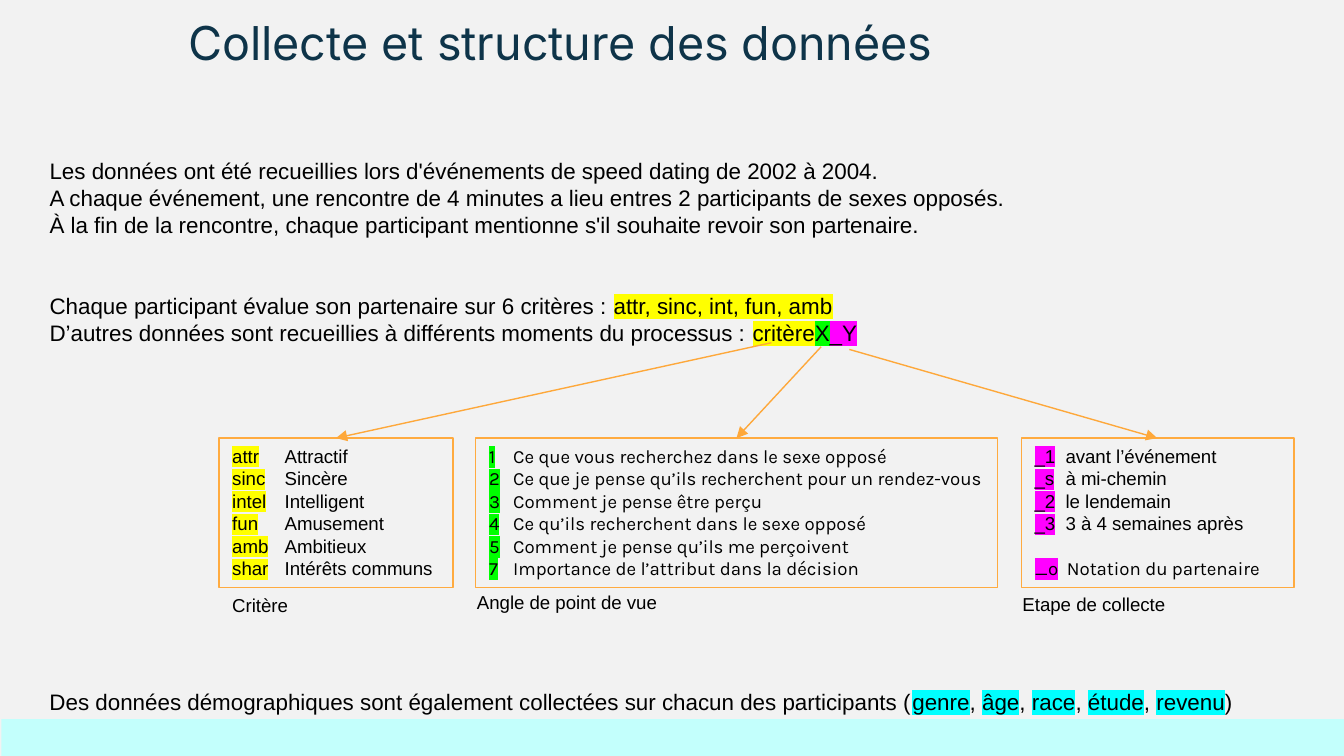
from lxml.etree import SubElement
from pptx import Presentation
from pptx.dml.color import RGBColor
from pptx.enum.shapes import MSO_CONNECTOR, MSO_SHAPE
from pptx.enum.text import MSO_ANCHOR, PP_ALIGN
from pptx.oxml.ns import qn
from pptx.util import Inches, Pt

BACKGROUND = RGBColor(0xF2, 0xF2, 0xF2)
NAVY = RGBColor(0x0E, 0x34, 0x49)
BLACK = RGBColor(0, 0, 0)
FOOTER = RGBColor(0xC3, 0xFF, 0xFC)
BORDER = RGBColor(0xFF, 0xAB, 0x40)
ARROW = RGBColor(0xFE, 0xA8, 0x3A)
YELLOW = RGBColor(0xFF, 0xFF, 0)
GREEN = RGBColor(0, 0xFF, 0)
MAGENTA = RGBColor(0xFF, 0, 0xFF)
CYAN = RGBColor(0, 0xFF, 0xFF)

SLIDE_W = 10
SLIDE_H = SLIDE_W * 9 / 16
BODY, SMALL = 12, 10
MARGIN = 0.27
BOX_TOP, BOX_H = 3.26, 1.11

CRITERIA = [("attr", "Attractif"), ("sinc", "Sincère"), ("intel", "Intelligent"),
            ("fun", "Amusement"), ("amb", "Ambitieux"), ("shar", "Intérêts communs")]
VIEWPOINTS = [("1", "Ce que vous recherchez dans le sexe opposé"),
              ("2", "Ce que je pense qu’ils recherchent pour un rendez-vous"),
              ("3", "Comment je pense être perçu"),
              ("4", "Ce qu’ils recherchent dans le sexe opposé"),
              ("5", "Comment je pense qu’ils me perçoivent"),
              ("7", "Importance de l’attribut dans la décision")]
STAGES = [("_1", "avant l’événement"), ("_s", "à mi-chemin"),
          ("_2", "le lendemain"), ("_3", "3 à 4 semaines après")]
PARTNER = [("_o", "Notation du partenaire")]
DEMOGRAPHICS = ["genre", "âge", "race", "étude", "revenu"]


def inches(*values):
    return [Inches(v) for v in values]


def add_run(p, text, size, font="Arial", color=BLACK, highlight=None):
    r = p.add_run()
    r.text = text
    r.font.size = Pt(size)
    r.font.color.rgb = color
    if highlight is not None:
        # The highlight has to stand between the fill and the font
        mark = SubElement(r.font._element, qn("a:highlight"))
        SubElement(mark, qn("a:srgbClr"), val=str(highlight))
    r.font.name = font


def add_paragraph(tf, runs, size, font="Arial", before=0, tab=None):
    """Add a paragraph from (text, highlight) pairs."""
    p = tf.paragraphs[0]
    if p.runs:
        p = tf.add_paragraph()
    p.alignment = PP_ALIGN.LEFT
    p.space_before = Pt(before)
    if tab:
        tabs = SubElement(p._p.get_or_add_pPr(), qn("a:tabLst"))
        SubElement(tabs, qn("a:tab"), pos=str(Inches(tab)), algn="l")
    for text, highlight in runs:
        add_run(p, text, size, font, highlight=highlight)


def add_text_box(s, left, top, width, height):
    tf = s.shapes.add_textbox(*inches(left, top, width, height)).text_frame
    tf.word_wrap = True
    return tf


def add_rectangle(s, left, top, width, height, fill=None):
    sp = s.shapes.add_shape(MSO_SHAPE.RECTANGLE, *inches(left, top, width, height))
    sp.shadow.inherit = False
    if fill is None:
        sp.fill.background()
        sp.line.color.rgb = BORDER
        sp.line.width = Pt(0.75)
    else:
        sp.fill.solid()
        sp.fill.fore_color.rgb = fill
        sp.line.fill.background()
    return sp


def add_legend_box(s, left, width):
    tf = add_rectangle(s, left, BOX_TOP, width, BOX_H).text_frame
    tf.word_wrap = True
    tf.vertical_anchor = MSO_ANCHOR.TOP
    return tf


def add_legend(tf, rows, highlight, tab, font="Arial", before=0):
    for code, meaning in rows:
        add_paragraph(tf, [(code, highlight), ("\t" + meaning, None)],
                      SMALL, font, before, tab)


def add_caption(s, left, top, width, text):
    add_paragraph(add_text_box(s, left, top, width, 0.27), [(text, None)], SMALL)


def add_arrow(s, start, end):
    c = s.shapes.add_connector(MSO_CONNECTOR.STRAIGHT, *inches(*start, *end))
    c.line.color.rgb = ARROW
    c.line.width = Pt(0.75)
    SubElement(c.line._get_or_add_ln(), qn("a:tailEnd"), type="triangle")
    SubElement(c._element.spPr, qn("a:effectLst"))


def set_title(s, text):
    title = s.shapes.title
    title.left, title.top, title.width, title.height = inches(1.3, 0, 8.44, 0.58)
    tf = title.text_frame
    tf.vertical_anchor = MSO_ANCHOR.TOP
    tf.margin_left = tf.margin_right = tf.margin_top = tf.margin_bottom = Inches(0.1)
    p = tf.paragraphs[0]
    p.alignment = PP_ALIGN.LEFT
    add_run(p, text, 25, "Inter", NAVY)


def main():
    prs = Presentation()
    prs.slide_width, prs.slide_height = inches(SLIDE_W, SLIDE_H)
    s = prs.slides.add_slide(prs.slide_layouts[5])
    s.background.fill.solid()
    s.background.fill.fore_color.rgb = BACKGROUND

    set_title(s, "Collecte et structure des données")
    add_rectangle(s, 0.01, 5.35, SLIDE_W, SLIDE_H - 5.35, FOOTER)

    # Introduction
    tf = add_text_box(s, MARGIN, 1.12, 9.32, 1.51)
    for sentence in (
            "Les données ont été recueillies lors d'événements de speed dating de 2002 à 2004.",
            "A chaque événement, une rencontre de 4 minutes a lieu entres 2 participants de sexes opposés.",
            "À la fin de la rencontre, chaque participant mentionne s'il souhaite revoir son partenaire."):
        add_paragraph(tf, [(sentence, None)], BODY)
    add_paragraph(tf, [("Chaque participant évalue son partenaire sur 6 critères : ", None),
                       ("attr, sinc, int, fun, amb", YELLOW)], BODY, before=29)
    add_paragraph(tf, [("D’autres données sont recueillies à différents moments du processus : ", None),
                       ("critère", YELLOW), ("X", GREEN), ("_Y", MAGENTA)], BODY)

    # Legends of the three parts of a variable name
    add_legend(add_legend_box(s, 3.54, 3.88), VIEWPOINTS, GREEN, 0.18, "Karla")
    add_legend(add_legend_box(s, 1.63, 1.74), CRITERIA, YELLOW, 0.39)
    tf = add_legend_box(s, 7.6, 2.03)
    add_legend(tf, STAGES, MAGENTA, 0.23)
    add_legend(tf, PARTNER, MAGENTA, 0.24, "Karla", before=12)

    # Arrows from the name to the legends
    for start, end_x in (((5.74, 2.55), 2.5), ((6.11, 2.58), 5.48), ((6.32, 2.6), 8.61)):
        add_arrow(s, start, (end_x, BOX_TOP))

    add_caption(s, 1.63, 4.37, 1.74, "Critère")
    add_caption(s, 3.45, 4.35, 3.88, "Angle de point de vue")
    add_caption(s, 7.51, 4.36, 1.83, "Etape de collecte")

    # Demographic data
    runs = [("Des données démographiques sont également collectées sur chacun des participants (", None)]
    for i, field in enumerate(DEMOGRAPHICS):
        if i:
            runs.append((", ", None))
        runs.append((field, CYAN))
    runs.append((")", None))
    add_paragraph(add_text_box(s, MARGIN, 5.07, 9.2, 0.3), runs, BODY)

    prs.save("out.pptx")


if __name__ == "__main__":
    main()
